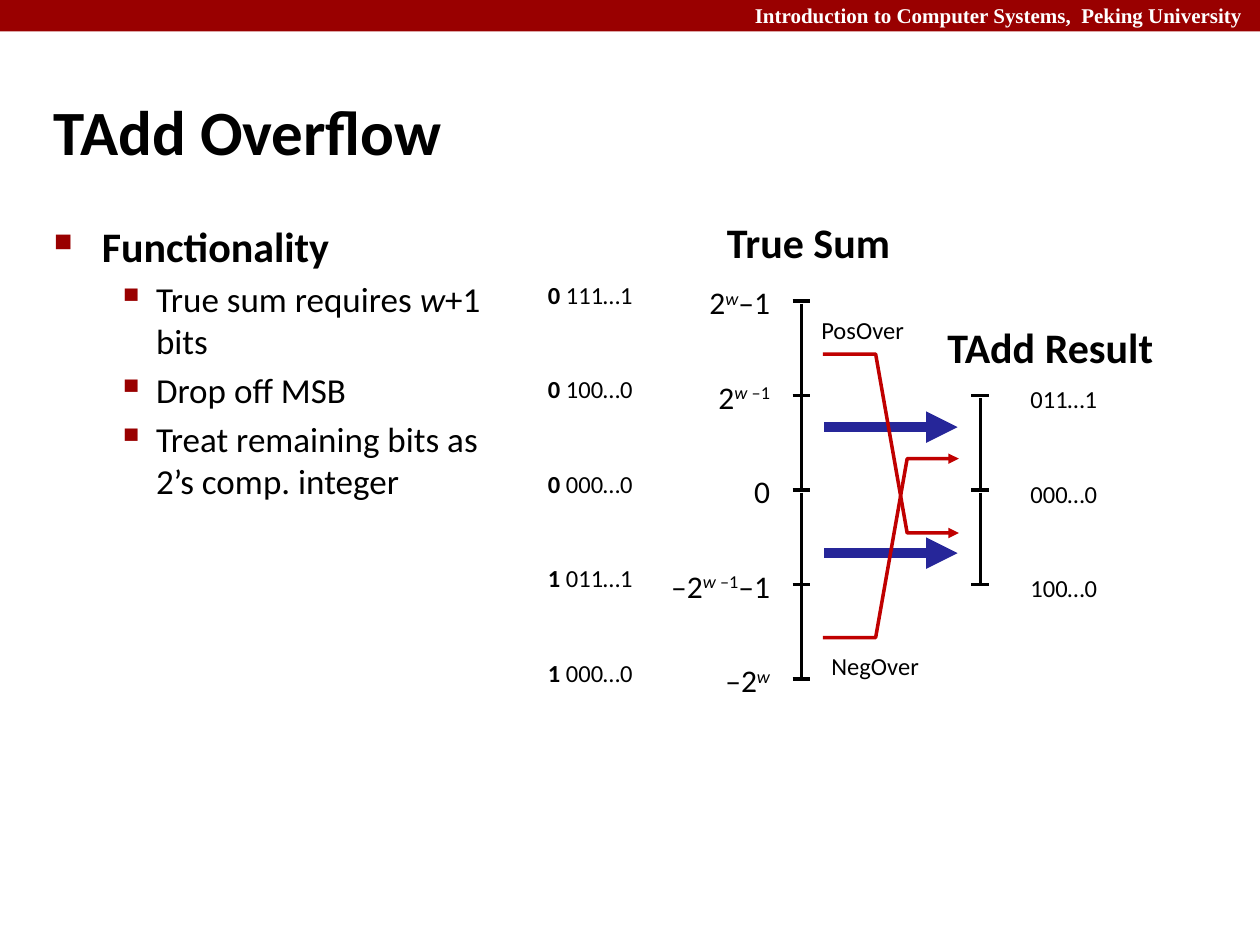
import pptx
import pptx.dml.color
import pptx.enum.shapes
import pptx.enum.text
import pptx.oxml
import pptx.oxml.ns
import pptx.util
from pptx.util import Inches

BLACK = pptx.dml.color.RGBColor(0x00, 0x00, 0x00)
WHITE = pptx.dml.color.RGBColor(0xFF, 0xFF, 0xFF)
CRIMSON = pptx.dml.color.RGBColor(0x99, 0x00, 0x00)
BLUE = pptx.dml.color.RGBColor(0x26, 0x26, 0x99)
RED = pptx.dml.color.RGBColor(0xC0, 0x00, 0x00)

LEFT = pptx.enum.text.PP_ALIGN.LEFT
RIGHT = pptx.enum.text.PP_ALIGN.RIGHT
STEP = 0.75
SUM_TOP = 2.39
SUM_X = 6.36
RESULT_X = 7.78

BIT_PATTERNS = [("0", " 111…1"), ("0", " 100…0"), ("0", " 000…0"),
                ("1", " 011…1"), ("1", " 000…0")]
SUM_VALUES = [
    [("2", ""), ("w", "i^"), ("–1", "")],
    [("2", ""), ("w ", "i^"), ("–1", "^")],
    [("0", "")],
    [("–2", ""), ("w ", "i^"), ("–1", "^"), ("–1", "")],
    [("–2", ""), ("w", "i^")],
]
RESULT_BITS = ["011…1", "000…0", "100…0"]
FUNCTIONS = [
    [("True sum requires ", ""), ("w", "i"), ("+1 bits", "")],
    [("Drop off MSB", "")],
    [("Treat remaining bits as 2’s comp. integer", "")],
]


def add_runs(paragraph, pieces, size, color=BLACK, font="Calibri"):
    """Add (text, style) pieces; style letters: b bold, i italic, ^ superscript."""
    for text, style in pieces:
        run = paragraph.add_run()
        run.text = text
        run.font.name = font
        run.font.size = pptx.util.Pt(size)
        run.font.color.rgb = color
        run.font.bold = "b" in style
        run.font.italic = "i" in style
        if "^" in style:
            run.font._element.set("baseline", "30000")


def add_label(slide, left, top, width, height, pieces, size, align=LEFT, **look):
    """Add a one-paragraph text box and return its frame."""
    box = slide.shapes.add_textbox(Inches(left), Inches(top), Inches(width), Inches(height))
    frame = box.text_frame
    frame.word_wrap = True
    frame.paragraphs[0].alignment = align
    add_runs(frame.paragraphs[0], pieces, size, **look)
    return frame


def set_indent(paragraph, margin, hanging):
    """Give a paragraph a left margin and a hanging first line."""
    properties = paragraph._p.get_or_add_pPr()
    properties.set("marL", str(Inches(margin)))
    properties.set("indent", str(-Inches(hanging)))
    return properties


def set_bullet(paragraph, symbol, percent, margin, hanging):
    """Give a paragraph a crimson bullet."""
    properties = set_indent(paragraph, margin, hanging)
    namespace = pptx.oxml.ns.nsdecls("a")
    for xml in (f'<a:buClr {namespace}><a:srgbClr val="{CRIMSON}"/></a:buClr>',
                f'<a:buSzPct {namespace} val="{percent * 1000}"/>',
                f'<a:buChar {namespace} char="{symbol}"/>'):
        properties.append(pptx.oxml.parse_xml(xml))


def add_arrowhead(line):
    """Put a triangle at the end of a line."""
    line._get_or_add_ln().append(pptx.oxml.parse_xml(
        f'<a:tailEnd {pptx.oxml.ns.nsdecls("a")} type="triangle"/>'))


def add_line(slide, start, end, color=BLACK, width=2, arrow=False):
    """Draw a straight line between two points."""
    connector = slide.shapes.add_connector(
        pptx.enum.shapes.MSO_CONNECTOR.STRAIGHT, *map(Inches, start + end))
    connector.line.color.rgb = color
    connector.line.width = pptx.util.Pt(width)
    if arrow:
        add_arrowhead(connector.line)
    connector._element.spPr.append(pptx.oxml.parse_xml(
        f'<a:effectLst {pptx.oxml.ns.nsdecls("a")}/>'))


def add_scale(slide, x, top, intervals):
    """Draw a vertical scale, in two halves, with a tick at each step."""
    half = intervals * STEP / 2
    for start in (top, top + half):
        add_line(slide, (x, start + 0.02), (x, start + half - 0.01))
    for tick in range(intervals + 1):
        y = top + tick * STEP
        add_line(slide, (x - 0.07, y), (x + 0.07, y))


def add_overflow(slide, start_y, end_y):
    """Draw the bent arrow of an overflowing range."""
    builder = slide.shapes.build_freeform(Inches(6.53), Inches(start_y), scale=1.0)
    builder.add_line_segments(
        [(Inches(x), Inches(y)) for x, y in ((6.95, start_y), (7.2, end_y), (7.61, end_y))],
        close=False)
    bend = builder.convert_to_shape()
    bend.shadow.inherit = False
    bend.fill.background()
    bend.line.color.rgb = RED
    bend.line.width = pptx.util.Pt(2)
    add_arrowhead(bend.line)


def add_header(slide):
    """Draw the course banner."""
    banner = slide.shapes.add_shape(
        pptx.enum.shapes.MSO_SHAPE.RECTANGLE, 0, 0, Inches(10), Inches(0.25))
    banner.shadow.inherit = False
    banner.fill.solid()
    banner.fill.fore_color.rgb = CRIMSON
    banner.line.fill.background()
    course = add_label(slide, 4.5, -0.03, 5.5, 0.3,
                       [("Introduction to Computer Systems,  Peking University", "b")],
                       12, RIGHT, color=WHITE, font="Times New Roman")
    course.margin_right = Inches(0.14)


def add_functionality(slide):
    """Write the bulleted list."""
    frame = add_label(slide, 0.33, 1.7, 3.62, 5.71, [("Functionality", "b")], 24)
    set_bullet(frame.paragraphs[0], "■", 60, 0.38, 0.38)
    for pieces in FUNCTIONS:
        paragraph = frame.add_paragraph()
        paragraph.level = 1
        paragraph.space_before = pptx.util.Pt(4)
        set_bullet(paragraph, "▪", 110, 0.81, 0.31)
        add_runs(paragraph, pieces, 20)


def add_diagram(slide):
    """Draw both scales, their labels and the arrows between them."""
    add_scale(slide, SUM_X, SUM_TOP, 4)
    add_scale(slide, RESULT_X, SUM_TOP + STEP, 2)
    for y in (3.39, 4.39):
        add_line(slide, (6.54, y), (7.6, y), BLUE, 6, arrow=True)
    add_overflow(slide, 2.81, 4.23)
    add_overflow(slide, 5.06, 3.64)

    for row, ((sign, bits), value) in enumerate(zip(BIT_PATTERNS, SUM_VALUES)):
        offset = row * STEP
        add_label(slide, 4.25, 2.17 + offset, 0.95, 0.33, [(sign, "b"), (bits, "")], 14)
        add_label(slide, 5.11, 2.2 + offset, 1.1, 0.4, value, 18, RIGHT)
    for row, bits in enumerate(RESULT_BITS):
        add_label(slide, 8.08, 3 + row * STEP, 0.8, 0.33, [(bits, "")], 14)

    add_label(slide, 5.67, 1.67, 1.6, 0.5, [("True Sum", "b")], 24)
    add_label(slide, 7.42, 2.5, 1.95, 0.5, [("TAdd Result", "b")], 24)
    add_label(slide, 6.42, 2.45, 0.95, 0.34, [("PosOver", "")], 14)
    add_label(slide, 6.5, 5.12, 0.95, 0.34, [("NegOver", "")], 14)


def main():
    """Build the slide and save it."""
    deck = pptx.Presentation()
    deck.slide_width = Inches(10)
    deck.slide_height = Inches(7.5)
    slide = deck.slides.add_slide(deck.slide_layouts[6])
    add_header(slide)
    title = add_label(slide, 0.33, 0.73, 7.39, 0.61, [("TAdd Overflow", "b")], 36)
    title.vertical_anchor = pptx.enum.text.MSO_ANCHOR.MIDDLE
    set_indent(title.paragraphs[0], 0.13, 0.13)
    add_functionality(slide)
    add_diagram(slide)
    deck.save("out.pptx")


if __name__ == "__main__":
    main()
